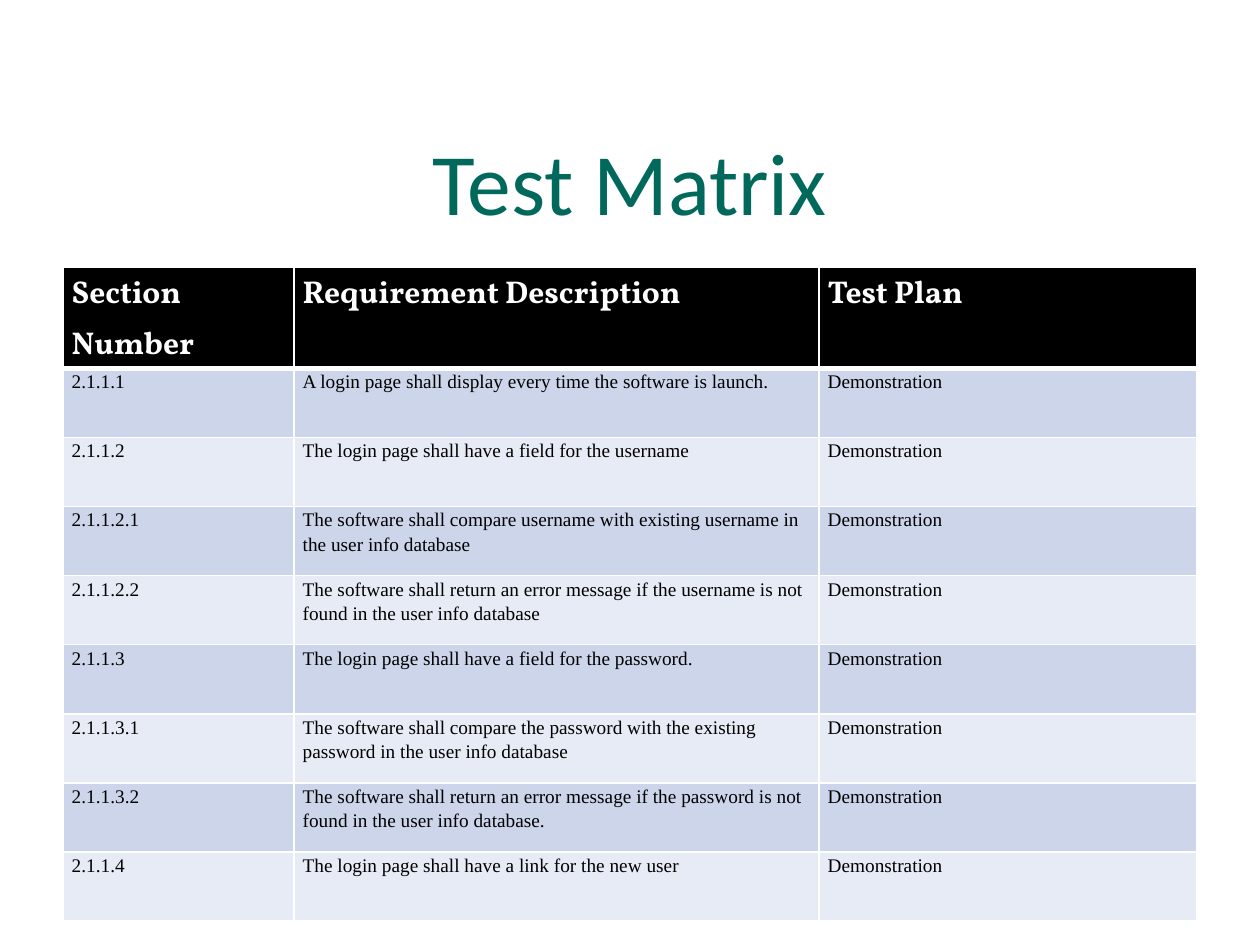
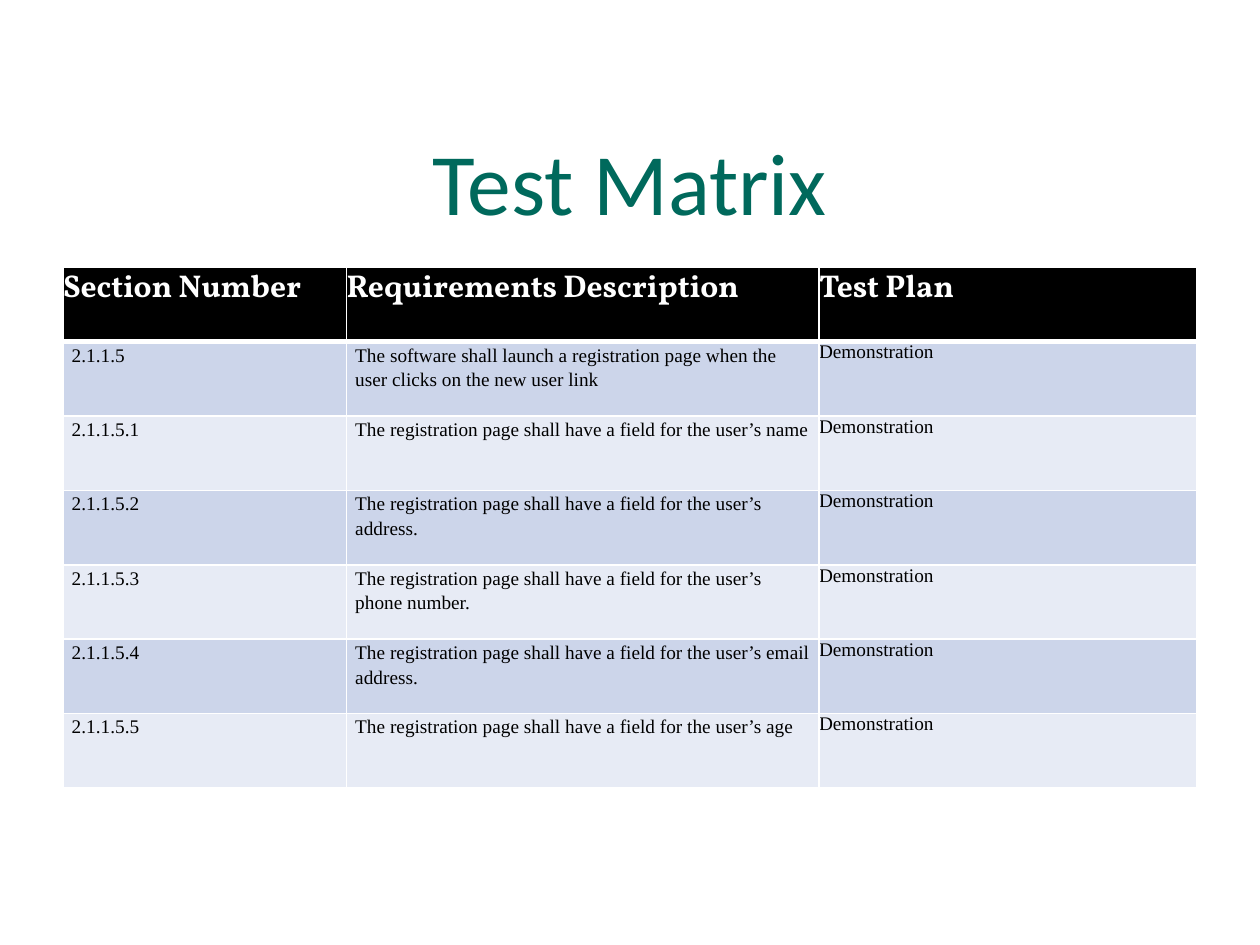
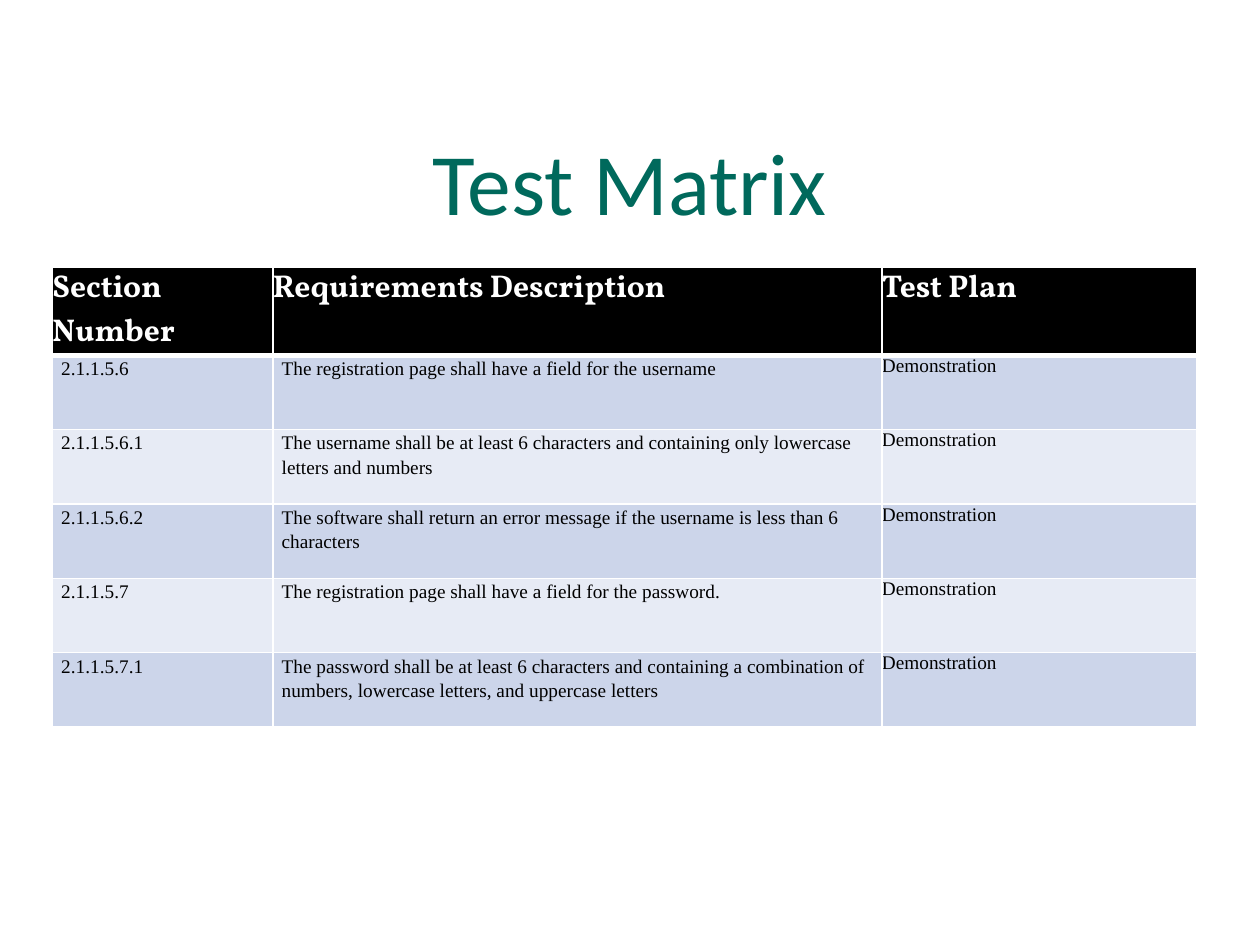
from pptx import Presentation
from pptx.dml.color import RGBColor
from pptx.enum.text import MSO_ANCHOR, MSO_AUTO_SIZE, PP_ALIGN
from pptx.oxml.xmlchemy import OxmlElement
from pptx.util import Pt

TEAL = RGBColor(0x00, 0x69, 0x5C)
BLACK = RGBColor(0x00, 0x00, 0x00)
WHITE = RGBColor(0xFF, 0xFF, 0xFF)
BAND_DARK = RGBColor(0xCC, 0xD5, 0xEA)
BAND_LIGHT = RGBColor(0xE7, 0xEB, 0xF5)

TITLE_BOX = (36, 43.2, 648, 90)
TABLE_TOP = 152.8
CELL_INSET = 5
THIN, THICK = 1, 3
TEST_METHOD = "Demonstration"

MATRICES = [
    {
        "left": 36,
        "columns": (132, 300, 216),
        "header_height": 50,
        "row_height": 39.5,
        "flush": False,
        "headings": ("Section Number", "Requirement Description", "Test Plan"),
        "requirements": [
            ("2.1.1.1", "A login page shall display every time the software is launch."),
            ("2.1.1.2", "The login page shall have a field for the username"),
            ("2.1.1.2.1", "The software shall compare username with existing username in the user info database"),
            ("2.1.1.2.2", "The software shall return an error message if the username is not found in the user info database"),
            ("2.1.1.3", "The login page shall have a field for the password."),
            ("2.1.1.3.1", "The software shall compare the password with the existing password in the user info database"),
            ("2.1.1.3.2", "The software shall return an error message if the password is not found in the user info database."),
            ("2.1.1.4", "The login page shall have a link for the new user"),
        ],
    },
    {
        "left": 36,
        "columns": (162, 270, 216),
        "header_height": 42.5,
        "row_height": 42.5,
        "flush": True,
        "headings": ("Section Number", "Requirements Description", "Test Plan"),
        "requirements": [
            ("2.1.1.5", "The software shall launch a registration page when the user clicks on the new user link"),
            ("2.1.1.5.1", "The registration page shall have a field for the user’s name"),
            ("2.1.1.5.2", "The registration page shall have a field for the user’s address."),
            ("2.1.1.5.3", "The registration page shall have a field for the user’s phone number."),
            ("2.1.1.5.4", "The registration page shall have a field for the user’s email address."),
            ("2.1.1.5.5", "The registration page shall have a field for the user’s age"),
        ],
    },
    {
        "left": 30,
        "columns": (126, 348, 180),
        "header_height": 50,
        "row_height": 42.5,
        "flush": True,
        "headings": ("Section Number", "Requirements Description", "Test Plan"),
        "requirements": [
            ("2.1.1.5.6", "The registration page shall have a field for the username"),
            ("2.1.1.5.6.1", "The username shall be at least 6 characters and containing only lowercase letters and numbers"),
            ("2.1.1.5.6.2", "The software shall return an error message if the username is less than 6 characters"),
            ("2.1.1.5.7", "The registration page shall have a field for the password."),
            ("2.1.1.5.7.1", "The password shall be at least 6 characters and containing a combination of numbers, lowercase letters, and uppercase letters"),
        ],
    },
]


def style_font(font, name, size, color, bold=False):
    """Set the typeface, size, colour and weight of a font."""
    font.name = name
    font.size = Pt(size)
    font.color.rgb = color
    font.bold = bold


def add_title(page, box, text):
    """Fill the title placeholder and place it in the given box."""
    title = page.shapes.title
    title.left, title.top, title.width, title.height = map(Pt, box)
    frame = title.text_frame
    frame.text = text
    frame.word_wrap = True
    frame.auto_size = MSO_AUTO_SIZE.NONE
    frame.vertical_anchor = MSO_ANCHOR.BOTTOM
    frame.margin_left = frame.margin_right = frame.margin_bottom = Pt(0)
    frame.margin_top = Pt(3.6)
    para = frame.paragraphs[0]
    para.alignment = PP_ALIGN.CENTER
    style_font(para.runs[0].font, "Calibri", 50, TEAL)


def set_borders(cell, top, bottom):
    """Draw white cell borders with the given top and bottom widths."""
    widths = {"a:lnL": THIN, "a:lnR": THIN, "a:lnT": top, "a:lnB": bottom}
    properties = cell._tc.get_or_add_tcPr()
    for index, (tag, width) in enumerate(widths.items()):
        line = OxmlElement(tag)
        line.set("w", str(Pt(width)))
        fill = OxmlElement("a:solidFill")
        color = OxmlElement("a:srgbClr")
        color.set("val", str(WHITE))
        fill.append(color)
        line.append(fill)
        properties.insert(index, line)


def fill_cell(cell, text, row, flush):
    """Write one cell, styled by its row and by whether its text sits flush."""
    header = row == 0
    cell.text = text
    cell.margin_left = cell.margin_right = Pt(0 if flush else CELL_INSET)
    cell.margin_top = cell.margin_bottom = Pt(0)
    cell.vertical_anchor = MSO_ANCHOR.TOP
    para = cell.text_frame.paragraphs[0]
    if not flush:
        para.line_spacing = 1.15
    font = para.runs[0].font
    cell.fill.solid()
    if header:
        style_font(font, "Vollkorn", 18, WHITE, bold=True)
        cell.fill.fore_color.rgb = BLACK
    else:
        style_font(font, "Times New Roman", 11, BLACK)
        cell.fill.fore_color.rgb = BAND_DARK if row % 2 else BAND_LIGHT
    set_borders(cell, THICK if row == 1 else THIN, THICK if header else THIN)


def add_matrix(page, left, top, matrix):
    """Add the requirements table with its corner at the given point."""
    columns = matrix["columns"]
    records = [matrix["headings"]]
    records += [(*requirement, TEST_METHOD) for requirement in matrix["requirements"]]
    heights = [matrix["header_height"]] + [matrix["row_height"]] * len(matrix["requirements"])
    table = page.shapes.add_table(
        len(records), len(columns), Pt(left), Pt(top), Pt(sum(columns)), Pt(sum(heights))
    ).table
    table.horz_banding = False
    for column, width in zip(table.columns, columns):
        column.width = Pt(width)
    for row, (record, height) in enumerate(zip(records, heights)):
        table.rows[row].height = Pt(height)
        for column, text in enumerate(record):
            flush = matrix["flush"] and (row == 0 or column == len(columns) - 1)
            fill_cell(table.cell(row, column), text, row, flush)


def add_matrix_page(deck, matrix):
    """Add one titled slide holding a test matrix."""
    page = deck.slides.add_slide(deck.slide_layouts.get_by_name("Title Only"))
    add_title(page, TITLE_BOX, "Test Matrix")
    add_matrix(page, matrix["left"], TABLE_TOP, matrix)


def main():
    """Build and save the deck."""
    deck = Presentation()
    deck.slide_width, deck.slide_height = Pt(720), Pt(540)
    for matrix in MATRICES:
        add_matrix_page(deck, matrix)
    deck.save("out.pptx")


if __name__ == "__main__":
    main()
